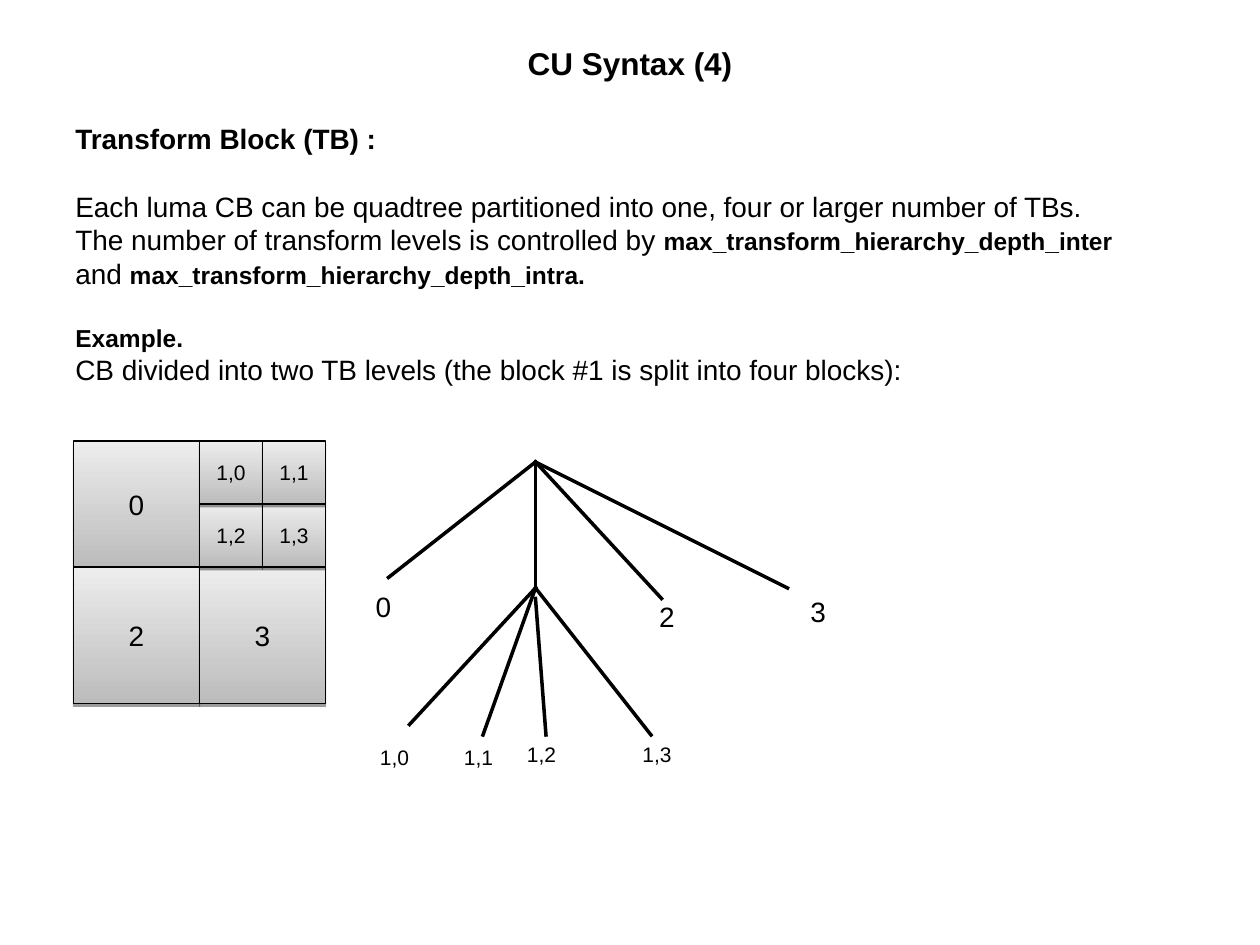
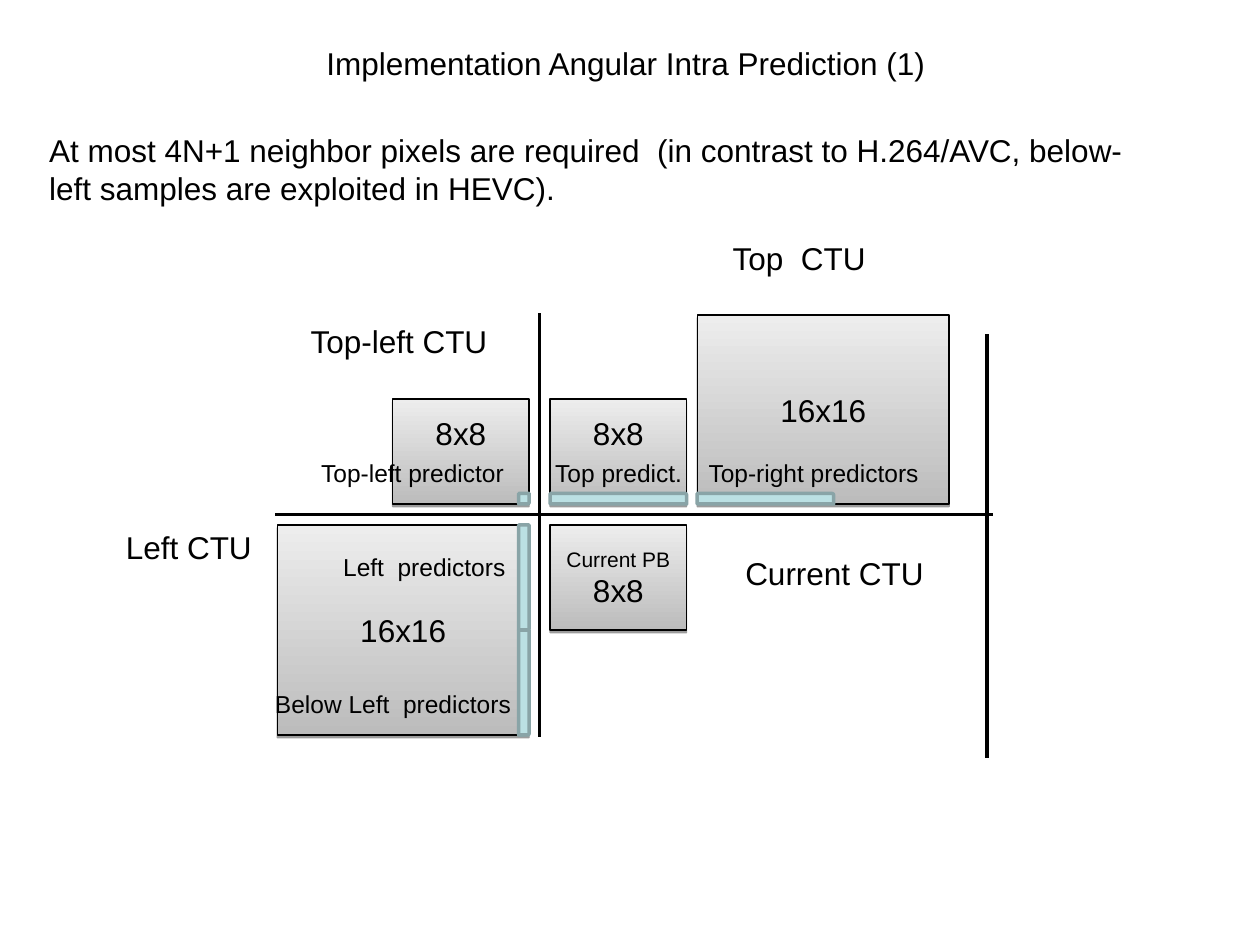
from lxml import etree
from pptx import Presentation
from pptx import util as u
from pptx.dml.color import RGBColor
from pptx.enum import shapes, text
from pptx.oxml import ns

HUES = {"ink": "000000", "dark": "BCBCBC", "light": "EDEDED",
        "strip": "BBE0E3", "edge": "89A4A7"}
RGB = {name: RGBColor.from_string(code) for name, code in HUES.items()}
FONT = "Arial"
FIT = text.MSO_AUTO_SIZE
MID = text.MSO_ANCHOR.MIDDLE
LEFT, CENTER = text.PP_ALIGN.LEFT, text.PP_ALIGN.CENTER
RECT = shapes.MSO_SHAPE.RECTANGLE
ROUND = shapes.MSO_SHAPE.ROUND_1_RECTANGLE

deck = Presentation()
deck.slide_width, deck.slide_height = u.Inches(10), u.Inches(7.5)
CELL = deck.slide_width / 120  # the grid has 120 columns and 90 rows


def put(slide, spot, kind=None):
    """Add a text box, or a shape of the given kind, at a grid spot."""
    area = [round(n * CELL) for n in spot]
    if kind is None:
        return slide.shapes.add_textbox(*area)
    return slide.shapes.add_shape(kind, *area)


def write(shape, paras, align, form):
    """Fill a shape with paragraphs of (text, size, bold) runs."""
    frame = shape.text_frame
    for name, value in form.items():
        setattr(frame, name, value)
    for n, (gap, runs) in enumerate(paras):
        para = frame.add_paragraph() if n else frame.paragraphs[0]
        para.alignment, para.space_before = align, u.Pt(gap)
        for words, size, bold in runs:
            run = para.add_run()
            run.text = words
            look = {"name": FONT, "size": u.Pt(size), "bold": bold}
            for name, value in look.items():
                setattr(run.font, name, value)
            run.font.color.rgb = RGB["ink"]


# Titles
slides = []
for words, bold, x in (
        ("CU Syntax (4)", True, 6),
        ("Implementation Angular Intra Prediction (1)", False, 5.6)):
    slide = deck.slides.add_slide(deck.slide_layouts[5])
    title = slide.shapes.title
    for name, n in zip(("left", "top", "width", "height"), (x, 1, 108, 10)):
        setattr(title, name, round(n * CELL))
    write(title, [(0, [(words, 18, bold)])], CENTER,
          {"vertical_anchor": MID, "auto_size": FIT.NONE, "word_wrap": True})
    slides.append(slide)
tree, pred = slides

# Body text; the gaps are about one line high
intro = [
    (0, [("Transform Block (TB) :", 16, True)]),
    (19.5, [("Each luma CB can be quadtree partitioned into one, four or "
             "larger number of TBs.", 16, False)]),
    (0, [("The number of transform levels is controlled by ", 16, False),
         ("max_transform_hierarchy_depth_inter", 14, True)]),
    (0, [("and ", 16, False),
         ("max_transform_hierarchy_depth_intra.", 14, True)]),
    (19, [("Example.", 14, True)]),
    (0, [("CB divided into two TB levels (the block #1 is split into four "
          "blocks):", 16, False)]),
]
claim = [(0, [("At most 4N+1 neighbor pixels are required  (in contrast to "
               "H.264/AVC, below-left samples are exploited in HEVC).",
               18, False)])]
for slide, spot, paras in ((tree, (6, 11, 102, 39), intro),
                           (pred, (3.5, 11.9, 105, 9), claim)):
    write(put(slide, spot), paras, LEFT, {"word_wrap": True})

# Grey tiles: the quadtree block, then the coding units round the crossing
X, Y = 7, 42
tiles = [(tree, (X, Y, 12, 12), [("0", 16)], 0),
         (tree, (X, Y + 12, 12, 13), [("2", 16)], 0),
         (tree, (X + 12, Y + 12, 12, 13), [("3", 16)], 0)]
for n in (2, 3, 0, 1):
    row, col = divmod(n, 2)
    tiles.append((tree, (X + 12 + 6 * col, Y + 6 * row, 6, 6),
                  [(f"1,{n}", 12)], 0))
A, B, C, D = 26.4, 37.4, 52.4, 66.4  # left edges of the unit columns
tiles += [(pred, (C, 50, 13, 10), [("Current PB", 12), ("8x8", 18)], 0),
          (pred, (C, 38, 13, 10), [("8x8", 18)], 0.29),
          (pred, (D, 30, 24, 18), [("16x16", 18)], 0),
          (pred, (B, 38, 13, 10), [("8x8", 18)], 0.29),
          (pred, (A, 50, 24, 20), [("16x16", 18)], 0)]
for slide, spot, lines, lift in tiles:
    tile = put(slide, spot, RECT)
    tile.fill.gradient()
    tile.fill.gradient_angle = 90
    for stop, hue in zip(tile.fill.gradient_stops, ("dark", "light")):
        stop.color.rgb = RGB[hue]
    tile.line.color.rgb, tile.line.width = RGB["ink"], u.Pt(0.75)
    tile.shadow.inherit = False
    glow = tile.element.spPr.find(ns.qn("a:effectLst"))
    drop = etree.SubElement(glow, ns.qn("a:outerShdw"), blurRad="0",
                            dist="20000", dir="5400000", rotWithShape="0")
    tint = etree.SubElement(drop, ns.qn("a:srgbClr"), val=HUES["ink"])
    etree.SubElement(tint, ns.qn("a:alpha"), val="38000")
    write(tile, [(0, [(words, size, False)]) for words, size in lines], CENTER,
          {"vertical_anchor": MID, "word_wrap": True,
           "margin_bottom": u.Inches(0.05 + lift)})

# Tree branches and unit borders
root, node = (51, 44), (51, 56)
wires = [(tree, root, end) for end in ((37, 55), node, (63, 57), (75, 56))]
wires += [(tree, node, end) for end in ((39, 69), (46, 70), (62, 70))]
wires += [(tree, (51, 57), (52, 70)),
          (pred, (51.4, 30), (51.4, 70)),
          (pred, (51.4, 49), (94.4, 49)),
          (pred, (A, 49), (51.4, 49)),
          (pred, (94, 32), (94, 72))]
for slide, start, end in wires:
    ends = [round(n * CELL) for n in start + end]
    wire = slide.shapes.add_connector(shapes.MSO_CONNECTOR.STRAIGHT, *ends)
    wire.line.color.rgb, wire.line.width = RGB["ink"], u.Pt(2)
    wire.element.spPr.find(ns.qn("a:ln")).set("cap", "sq")
    etree.SubElement(wire.element.spPr, ns.qn("a:effectLst"))

# Predictor strips, one cell thick: centre, length, turn
for x, y, size, turn in ((D + 6.5, 47.5, 13, 0), (C + 6.5, 47.5, 13, 0),
                         (49.9, 55, 10, 90), (49.9, 65, 10, 90),
                         (49.9, 47.5, 1, 90)):
    strip = put(pred, (x - size / 2, y - 0.5, size, 1), ROUND)
    strip.rotation = turn
    strip.shadow.inherit = False
    strip.fill.solid()
    strip.fill.fore_color.rgb = RGB["strip"]
    strip.line.color.rgb, strip.line.width = RGB["edge"], u.Pt(2)

# Labels: words, size, left, top, width with room to stay on one line
marks = [
    (tree, [("0", 16, 34.6, 55.6, 3.4), ("2", 16, 61.6, 56.5, 3.4),
            ("3", 16, 76, 56, 3.4), ("1,0", 12, 35, 70.3, 10),
            ("1,1", 12, 43, 70.3, 10), ("1,2", 12, 49, 70, 10),
            ("1,3", 12, 60, 70, 10)]),
    (pred, [("Top-left CTU", 18, 28.4, 30.1, 21),
            ("Left CTU", 18, 10.8, 49.7, 16),
            ("Current CTU", 18, 69.8, 52.2, 21),
            ("Top  CTU", 18, 68.6, 22.2, 17),
            ("Top-right predictors", 14, 66.3, 43, 24),
            ("Top predict.", 14, 51.7, 43, 16),
            ("Left  predictors", 14, 31.5, 52, 19),
            ("Below Left  predictors", 14, 25, 65, 27),
            ("Top-left predictor", 14, 29.4, 43, 21)]),
]
for slide, items in marks:
    for words, size, x, y, wide in items:
        mark = put(slide, (x, y, wide, size * 0.2 + 1.2))
        write(mark, [(0, [(words, size, False)])], LEFT,
              {"word_wrap": True, "auto_size": FIT.SHAPE_TO_FIT_TEXT})

deck.save("out.pptx")
